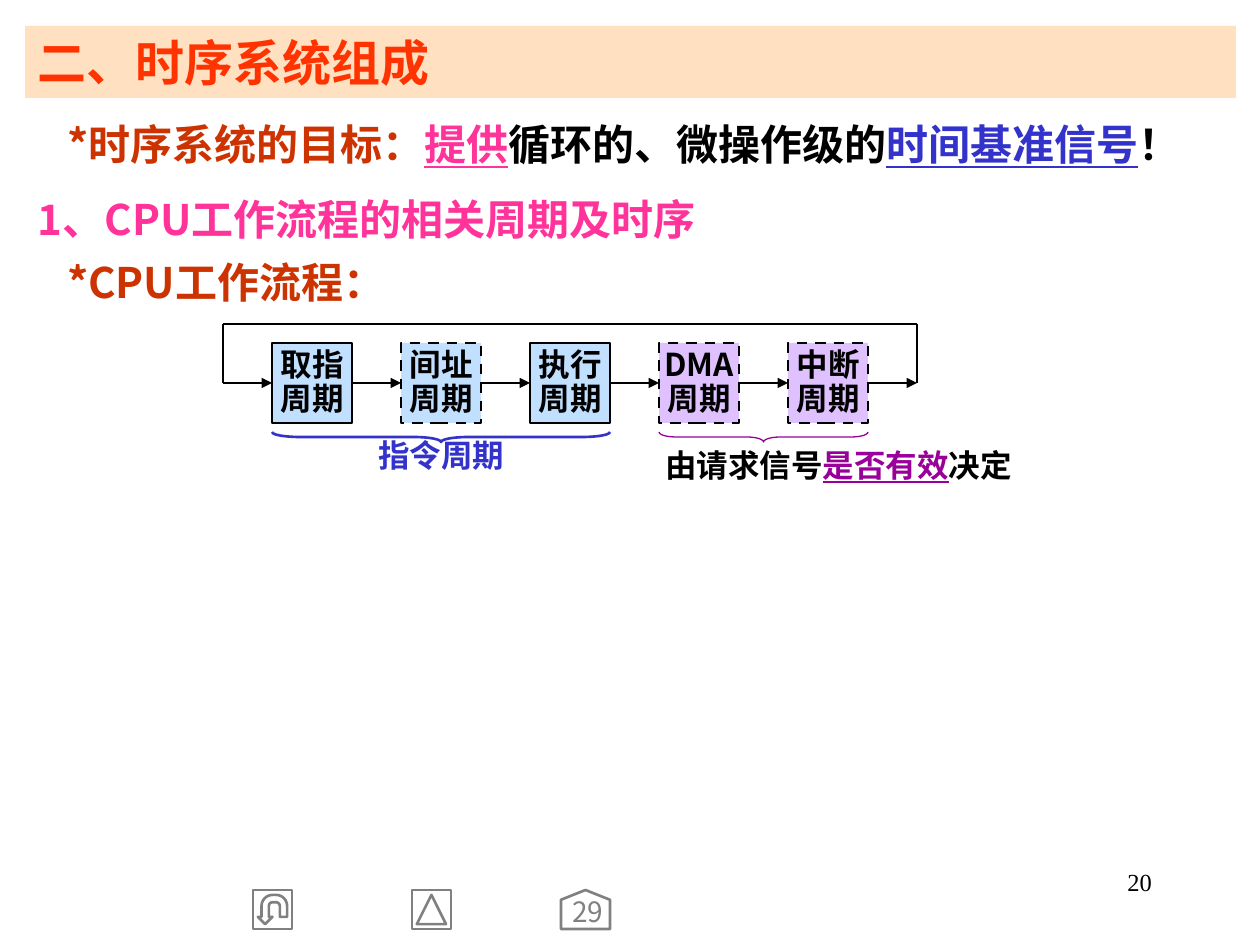
import pptx
import pptx.dml.color
import pptx.enum.dml
import pptx.enum.shapes
import pptx.enum.text
import pptx.oxml
import pptx.oxml.ns
import pptx.util

RGBColor = pptx.dml.color.RGBColor
BLACK = RGBColor(0x00, 0x00, 0x00)
GRAY = RGBColor(0x80, 0x80, 0x80)
ORANGE = RGBColor(0xFF, 0x33, 0x00)
PEACH = RGBColor(0xFF, 0xCC, 0x99)
RUST = RGBColor(0xCC, 0x33, 0x00)
PINK = RGBColor(0xFF, 0x33, 0x99)
BLUE = RGBColor(0x33, 0x33, 0xCC)
PURPLE = RGBColor(0x99, 0x00, 0x99)
SKY = RGBColor(0x99, 0xCC, 0xFF)
LILAC = RGBColor(0xCC, 0x99, 0xFF)

SHAPE = pptx.enum.shapes.MSO_SHAPE
ALIGN = pptx.enum.text.PP_ALIGN
ANCHOR = pptx.enum.text.MSO_ANCHOR
EMU_PER_PX = 914400 / 126

WIDE_MARGINS = (13, 6, 13, 6)
TIGHT_MARGINS = (2, 1, 2, 1)


def px(length):
    return pptx.util.Emu(round(length * EMU_PER_PX))


def append_xml(parent, tag, attributes=""):
    namespace = pptx.oxml.ns.nsdecls("a")
    element = pptx.oxml.parse_xml(f"<a:{tag} {namespace} {attributes}/>")
    parent.append(element)


class SlideBuilder:
    """Holds the base text style and the slide being built."""

    text_format = {"name": "Noto Sans CJK SC", "size": 18, "bold": True}

    def __init__(self, slide):
        self.slide = slide

    def place(self, shape, left, top, width, height):
        position = {"left": left, "top": top, "width": width, "height": height}
        for name, value in position.items():
            setattr(shape, name, px(value))

    def frame(self, shape, margins, anchor=ANCHOR.MIDDLE):
        text_frame = shape.text_frame
        settings = {"word_wrap": True, "vertical_anchor": anchor,
                    "auto_size": pptx.enum.text.MSO_AUTO_SIZE.NONE}
        sides = ("margin_left", "margin_top", "margin_right", "margin_bottom")
        settings.update(zip(sides, map(px, margins)))
        for name, value in settings.items():
            setattr(text_frame, name, value)
        return text_frame

    def add_runs(self, paragraph, runs, align=ALIGN.LEFT, spacing=1.0, before=0, **text_format):
        """Fill a paragraph from (text, colour[, underline]) tuples."""
        settings = {"alignment": align, "line_spacing": spacing,
                    "space_before": pptx.util.Pt(before)}
        for name, value in settings.items():
            setattr(paragraph, name, value)
        for text, color, *underline in runs:
            run = paragraph.add_run()
            run.text = text
            values = {**self.text_format, **text_format}
            values["size"] = pptx.util.Pt(values["size"])
            values["underline"] = bool(underline)
            for name, value in values.items():
                setattr(run.font, name, value)
            run.font.color.rgb = color
            typeface = f'typeface="{values["name"]}"'
            append_xml(run.font._element, "ea", typeface)

    def fill(self, shape, color):
        shape.fill.solid()
        shape.fill.fore_color.rgb = color
        color_element = shape._element.spPr.find(".//" + pptx.oxml.ns.qn("a:srgbClr"))
        append_xml(color_element, "alpha", 'val="60000"')

    def title(self, text, box):
        shape = self.slide.shapes.title
        self.place(shape, *box)
        self.fill(shape, PEACH)
        paragraph = self.frame(shape, WIDE_MARGINS).paragraphs[0]
        self.add_runs(paragraph, [(text, ORANGE)], size=28)

    def body(self, items, box):
        """Fill the body placeholder from (indent, space before, runs) items."""
        shape = self.slide.placeholders[1]
        self.place(shape, *box)
        text_frame = self.frame(shape, WIDE_MARGINS, ANCHOR.TOP)
        for index, (indent, before, runs) in enumerate(items):
            paragraph = text_frame.add_paragraph() if index else text_frame.paragraphs[0]
            properties = paragraph._p.get_or_add_pPr()
            properties.set("marL", str(px(indent)))
            properties.set("indent", "0")
            append_xml(properties, "buNone")
            self.add_runs(paragraph, runs, spacing=1.25, before=before, size=24)

    def label(self, runs, box, margins=TIGHT_MARGINS, anchor=ANCHOR.MIDDLE,
              align=ALIGN.CENTER, spacing=0.9, **text_format):
        shape = self.slide.shapes.add_textbox(*map(px, box))
        paragraph = self.frame(shape, margins, anchor).paragraphs[0]
        self.add_runs(paragraph, runs, align, spacing, **text_format)

    def outline(self, preset, box, color, weight=1.5, rotation=0):
        shape = self.slide.shapes.add_shape(preset, *map(px, box))
        shape.shadow.inherit = False
        shape.rotation = rotation
        shape.fill.background()
        shape.line.color.rgb = color
        shape.line.width = pptx.util.Pt(weight)
        return shape

    def stage(self, text, box, color, dashed):
        shape = self.outline(SHAPE.RECTANGLE, box, BLACK)
        self.fill(shape, color)
        if dashed:
            shape.line.dash_style = pptx.enum.dml.MSO_LINE.DASH
        paragraph = self.frame(shape, TIGHT_MARGINS).paragraphs[0]
        self.add_runs(paragraph, [(text, BLACK)], ALIGN.CENTER, 0.9)

    def line(self, start, end, arrow=False):
        straight = pptx.enum.shapes.MSO_CONNECTOR.STRAIGHT
        connector = self.slide.shapes.add_connector(straight, *map(px, start + end))
        connector.line.color.rgb = BLACK
        connector.line.width = pptx.util.Pt(1.5)
        if arrow:
            append_xml(connector.line._get_or_add_ln(), "tailEnd", 'type="triangle"')
        append_xml(connector._element.spPr, "effectLst")

    def brace_below(self, left, right, middle, color, weight, curve):
        """Draw a brace that points down and spans left to right."""
        thickness, length = 10, right - left
        box = ((left + right - thickness) / 2, middle - length / 2, thickness, length)
        brace = self.outline(SHAPE.RIGHT_BRACE, box, color, weight, 90)
        brace.adjustments[0] = curve


def draw_workflow(builder):
    left, top, size, pitch = 272, 343, 80, 129
    middle, loop_top = top + size // 2, 324
    stages = [("取指周期", SKY, False), ("间址周期", SKY, True), ("执行周期", SKY, False),
              ("DMA周期", LILAC, True), ("中断周期", LILAC, True)]
    starts = [left + pitch * index for index in range(len(stages) + 1)]
    for start, (text, color, dashed) in zip(starts, stages):
        builder.stage(text, (start, top, size, size), color, dashed)
    for start in starts:
        builder.line((start - pitch + size, middle), (start, middle), arrow=True)

    loop_left, loop_right = left - pitch + size, starts[-1]
    corners = [(loop_right, middle), (loop_right, loop_top),
               (loop_left, loop_top), (loop_left, middle)]
    for start, end in zip(corners, corners[1:]):
        builder.line(start, end)

    builder.brace_below(starts[0], starts[2] + size, 437, BLUE, 1.5, 2.75)
    builder.brace_below(starts[3], starts[4] + size, 437, PURPLE, 0.75, 1.65)
    builder.label([("指令周期", BLUE)], (372, 442, 139, 30))
    builder.label([("由请求信号", BLACK), ("是否有效", PURPLE, True), ("决定", BLACK)],
                  (650, 452, 377, 30))


def draw_navigation(builder):
    builder.outline(SHAPE.ACTION_BUTTON_RETURN, (253, 890, 39, 39), GRAY, rotation=180)
    builder.outline(SHAPE.ACTION_BUTTON_FORWARD_OR_NEXT, (412, 890, 39, 39), GRAY, rotation=270)
    home = builder.outline(SHAPE.PENTAGON, (566, 885, 39, 49), GRAY, rotation=270)
    home.adjustments[0] = 0.25
    builder.label([("29", GRAY)], (566, 900, 39, 30), (5, 0, 0, 0), ANCHOR.TOP,
                  spacing=0.85, size=16, bold=False)
    builder.label([("20", BLACK)], (903, 861, 262, 63), WIDE_MARGINS, ANCHOR.TOP,
                  ALIGN.RIGHT, 1.0, name="Times New Roman", size=14, bold=False)


def main():
    presentation = pptx.Presentation()
    presentation.slide_width, presentation.slide_height = px(1260), px(945)
    slide = presentation.slides.add_slide(presentation.slide_layouts[1])
    builder = SlideBuilder(slide)
    builder.title("二、时序系统组成", (25, 26, 1211, 72))
    builder.body([
        (29, 0, [("*时序系统的目标：", RUST), ("提供", PINK, True),
                 ("循环的、微操作级的", BLACK), ("时间基准信号", BLUE, True), ("！", BLACK)]),
        (0, 7, [("1、CPU工作流程的相关周期及时序", PINK)]),
        (29, 0, [("*CPU工作流程：", RUST)]),
    ], (25, 100, 1211, 214))
    draw_workflow(builder)
    draw_navigation(builder)
    presentation.save("out.pptx")


if __name__ == "__main__":
    main()
